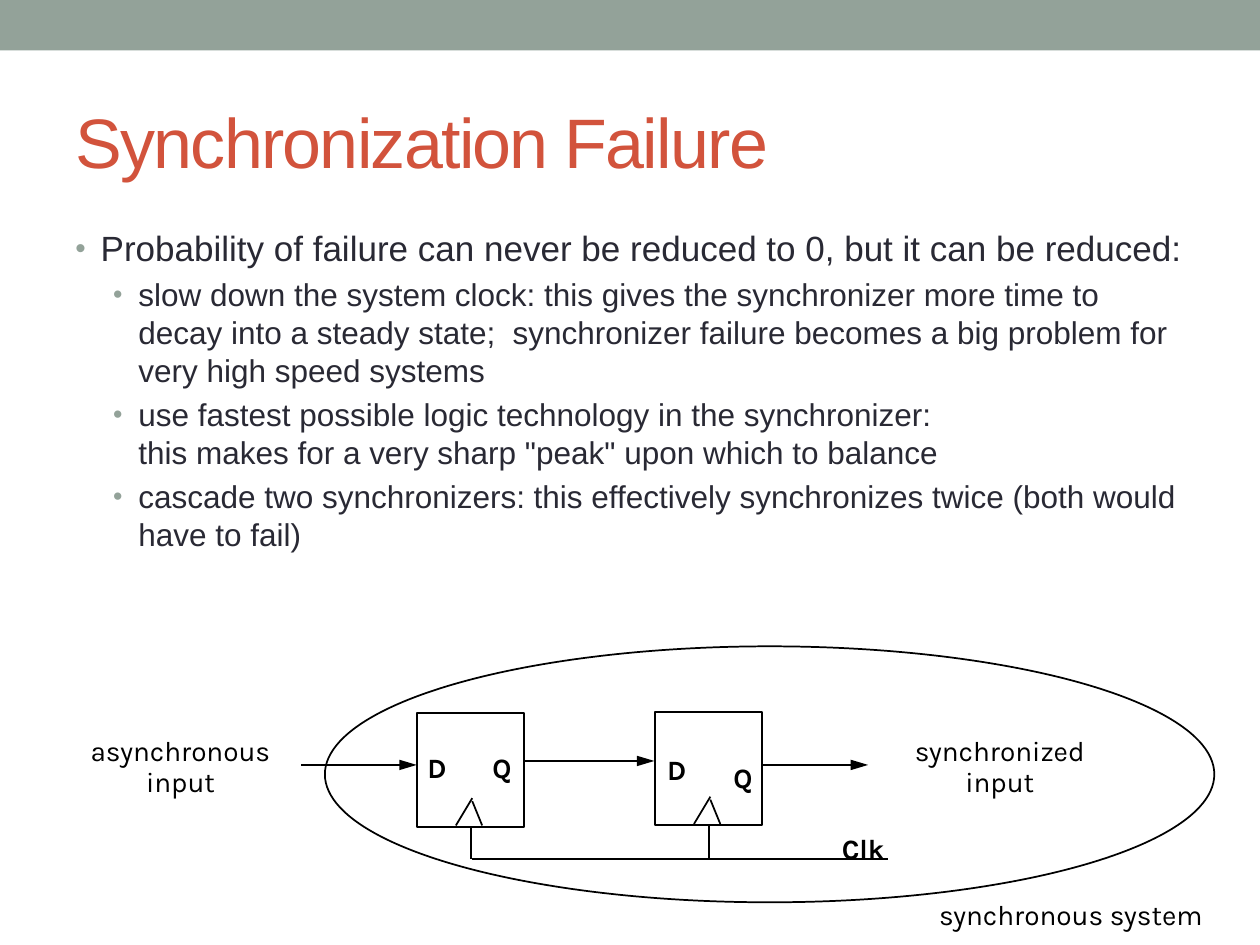
from dataclasses import dataclass

from lxml import etree
from pptx import Presentation
from pptx.dml.color import RGBColor
from pptx.enum.shapes import MSO_CONNECTOR, MSO_SHAPE
from pptx.enum.text import MSO_ANCHOR, PP_ALIGN
from pptx.oxml.ns import qn
from pptx.util import Cm, Pt

RECT = MSO_SHAPE.RECTANGLE
OVAL = MSO_SHAPE.OVAL
STRAIGHT = MSO_CONNECTOR.STRAIGHT
CENTER, LEFT = PP_ALIGN.CENTER, PP_ALIGN.LEFT
MIDDLE = MSO_ANCHOR.MIDDLE
TITLE_ONLY = 5
BOTTOM = 2


@dataclass(frozen=True)
class Theme:
    bar: RGBColor = RGBColor(0x93, 0xA2, 0x99)
    title: RGBColor = RGBColor(0xD2, 0x53, 0x3C)
    body: RGBColor = RGBColor(0x29, 0x29, 0x34)
    ink: RGBColor = RGBColor(0, 0, 0)
    font: str = "Arial"
    label_font: str = "Karla"
    title_size: int = 40
    body_sizes: tuple = (20, 18)
    label_size: int = 16
    line: int = 1


THEME = Theme()

BULLETS = [
    (0, "Probability of failure can never be reduced to 0, but it can be reduced:"),
    (1, "slow down the system clock: this gives the synchronizer more time to "
        "decay into a steady state;  synchronizer failure becomes a big problem "
        "for very high speed systems"),
    (1, "use fastest possible logic technology in the synchronizer:\v"
        "this makes for a very sharp \"peak\" upon which to balance"),
    (1, "cascade two synchronizers: this effectively synchronizes twice "
        "(both would have to fail)"),
]


def set_font(font, name, size, color, bold=False):
    font.name, font.size, font.bold = name, Pt(size), bold
    font.color.rgb = color


def add_title(s, text):
    sp = s.shapes.title
    sp.left, sp.top, sp.width, sp.height = Cm(1.27), Cm(1.47), Cm(22.86), Cm(2.74)
    tf = sp.text_frame
    tf.text = text
    tf.vertical_anchor = MIDDLE
    p = tf.paragraphs[0]
    p.alignment = LEFT
    set_font(p.font, THEME.font, THEME.title_size, THEME.title)
    p.runs[0].font._element.set("spc", "-100")


def add_bullet(p, indent):
    pPr = p._p.get_or_add_pPr()
    pPr.set("marL", str(indent))
    pPr.set("indent", str(-Cm(0.51)))
    color = etree.Element(qn("a:buClr"))
    etree.SubElement(color, qn("a:srgbClr"), val=str(THEME.bar))
    marks = [color,
             etree.Element(qn("a:buSzPct"), val="85000"),
             etree.Element(qn("a:buFont"), typeface=THEME.font),
             etree.Element(qn("a:buChar"), char="•")]
    defaults = pPr.find(qn("a:defRPr"))
    for mark in marks:
        defaults.addprevious(mark)


def add_body(s, bullets):
    sp = s.shapes.add_textbox(Cm(1.27), Cm(4.45), Cm(22.86), Cm(13.54))
    tf = sp.text_frame
    tf.word_wrap = True
    for i, (level, text) in enumerate(bullets):
        p = tf.paragraphs[0] if i == 0 else tf.add_paragraph()
        p.text = text
        p.level = level
        size = THEME.body_sizes[level]
        p.space_before = Pt(size * 0.2)
        set_font(p.font, THEME.font, size, THEME.body)
        add_bullet(p, Cm(0.51 + 0.76 * level))


def add_outline(s, kind, x, y, w, h):
    sp = s.shapes.add_shape(kind, Cm(x), Cm(y), Cm(w), Cm(h))
    sp.shadow.inherit = False
    sp.fill.background()
    sp.line.color.rgb = THEME.ink
    sp.line.width = Pt(THEME.line)
    return sp


def add_bar(s, width):
    sp = s.shapes.add_shape(RECT, 0, 0, width, Cm(1.02))
    sp.shadow.inherit = False
    sp.fill.solid()
    sp.fill.fore_color.rgb = THEME.bar
    sp.line.fill.background()


def add_label(s, lines, x, y, w, h, spacing=20.8, bold=False):
    sp = s.shapes.add_textbox(Cm(x), Cm(y), Cm(w), Cm(h))
    tf = sp.text_frame
    tf.word_wrap = False
    tf.margin_left = tf.margin_right = Cm(0.05)
    tf.margin_top = tf.margin_bottom = Cm(0.08)
    tf.text = "\n".join(lines)
    for p in tf.paragraphs:
        p.alignment = CENTER
        p.line_spacing = Pt(spacing)
        set_font(p.font, THEME.label_font, THEME.label_size, THEME.ink, bold)


def add_line(s, x1, y1, x2, y2, arrow=False):
    cx = s.shapes.add_connector(STRAIGHT, Cm(x1), Cm(y1), Cm(x2), Cm(y2))
    cx.line.color.rgb = THEME.ink
    cx.line.width = Pt(THEME.line)
    if arrow:
        etree.SubElement(cx.line._get_or_add_ln(), qn("a:tailEnd"),
                         type="triangle", w="med", len="lg")
    etree.SubElement(cx._element.spPr, qn("a:effectLst"))
    return cx


def add_flip_flop(s, x, y, clock_y):
    w, h = 2.16, 2.29
    box = add_outline(s, RECT, x, y, w, h)
    mid, bottom = x + w / 2, y + h
    add_line(s, mid + 0.03, bottom - 0.58, mid - 0.3, bottom - 0.03)
    add_line(s, mid + 0.03, bottom - 0.52, mid + 0.23, bottom - 0.03)
    stem = add_line(s, mid, bottom, mid, clock_y)
    stem.begin_connect(box, BOTTOM)


def main():
    prs = Presentation()
    prs.slide_width, prs.slide_height = Cm(25.4), Cm(19.05)
    s = prs.slides.add_slide(prs.slide_layouts[TITLE_ONLY])
    add_bar(s, prs.slide_width)
    add_title(s, "Synchronization Failure")
    add_body(s, BULLETS)

    clock_y = 17.32
    add_outline(s, OVAL, 6.55, 13.03, 17.93, 5.16)
    for x, y in [(8.41, 14.38), (13.21, 14.35)]:
        add_flip_flop(s, x, y, clock_y)
    add_line(s, 9.52, clock_y, 17.91, clock_y)
    for x1, x2, y in [(6.07, 8.4, 15.42), (10.57, 13.19, 15.34), (15.37, 17.5, 15.42)]:
        add_line(s, x1, y, x2, y, arrow=True)

    add_label(s, ["D"], 8.38, 14.99, 0.86, 1.09, bold=True)
    add_label(s, ["Q"], 9.65, 14.99, 0.94, 1.09, bold=True)
    add_label(s, ["D"], 13.21, 15.04, 0.86, 1.09, bold=True)
    add_label(s, ["Q"], 13.61, 14.68, 2.74, 1.6, spacing=35.5, bold=True)
    add_label(s, ["Clk"], 16.28, 16.1, 2.24, 1.68, spacing=35.5, bold=True)
    add_label(s, ["asynchronous", "input"], 1.24, 14.76, 4.8, 1.6, spacing=17.8)
    add_label(s, ["synchronized", "input"], 17.88, 14.76, 4.55, 1.6, spacing=17.8)
    add_label(s, ["synchronous system"], 18.16, 17.96, 6.86, 1.09)
    prs.save("out.pptx")


if __name__ == "__main__":
    main()
